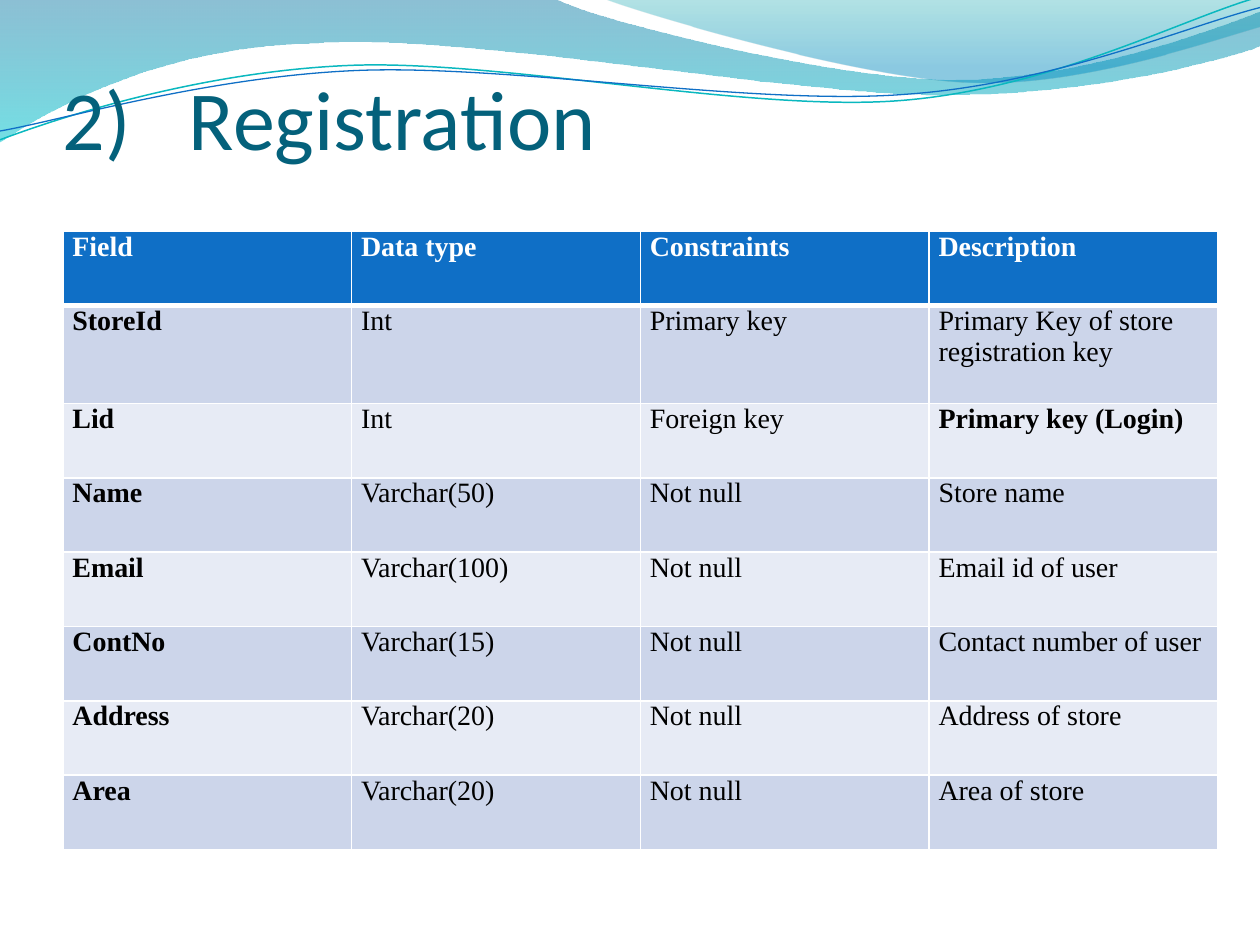
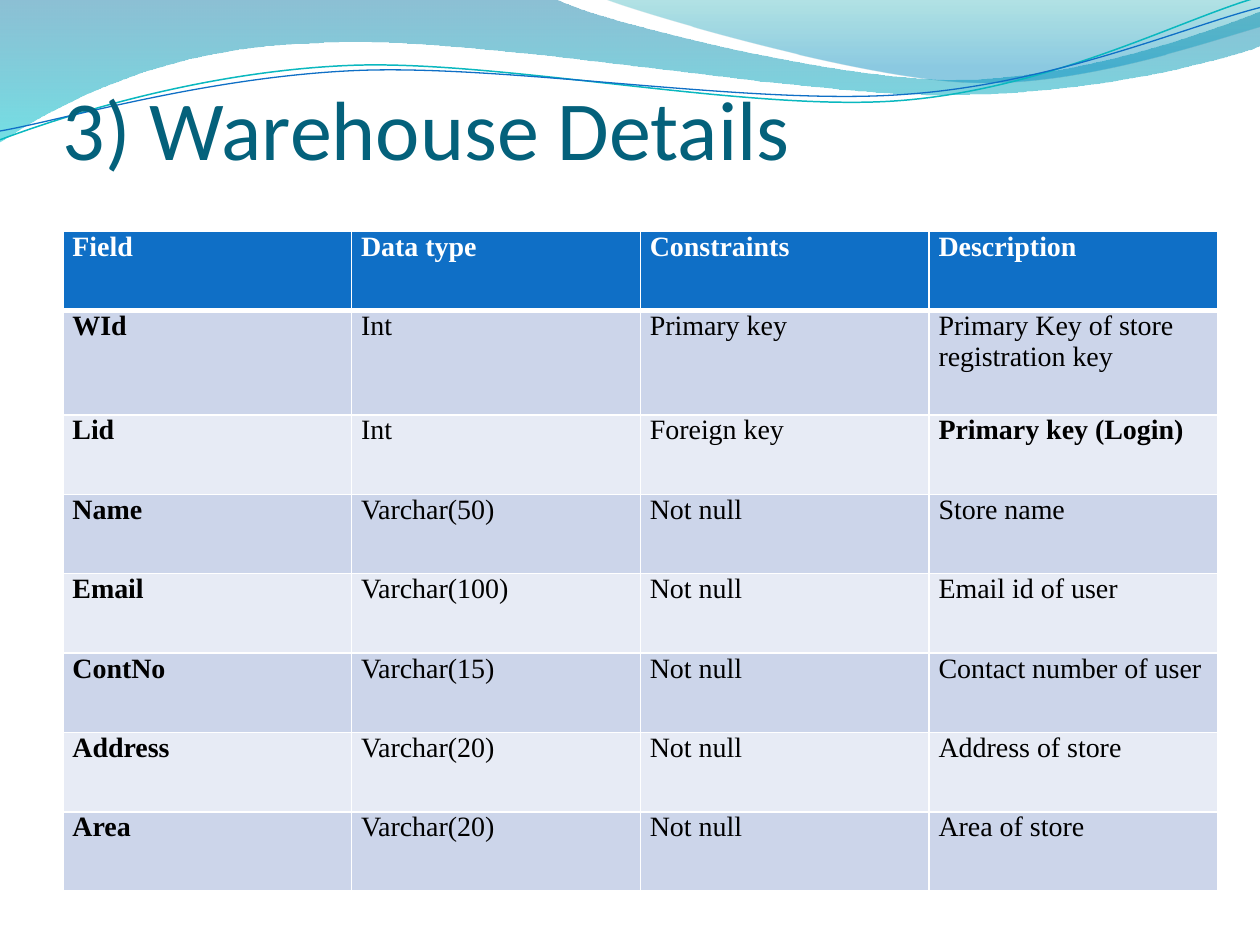
from lxml.etree import SubElement
from pptx import Presentation
from pptx.dml.color import RGBColor
from pptx.enum.text import MSO_ANCHOR
from pptx.oxml.ns import qn
from pptx.util import Emu, Inches, Pt

COLORS = {
    "title": "04617B", "header": "0F6FC6", "white": "FFFFFF", "text": "000000",
    "odd_row": "CCD5EA", "even_row": "E7EBF5",
    "teal_line": "0AB8BF", "blue_line": "0F6FC6",
    "band_top": "0074A1", "band_bottom": "00C6CF",
    "crest_top": "00A1A9", "crest_bottom": "008BBF",
}
TITLE_FONT = {"name": "Calibri", "size": Pt(48)}
CELL_FONT = {"name": "Times New Roman", "size": Pt(16)}
TITLE_FRAME = {"word_wrap": True, "vertical_anchor": MSO_ANCHOR.BOTTOM, "margin_left": 0,
               "margin_top": Inches(0.05), "margin_right": 0, "margin_bottom": 0}
CELL_MARGINS = {"margin_left": Pt(5.4), "margin_top": 0,
                "margin_right": Pt(5.4), "margin_bottom": 0}

# Outlines in inches: a pair is a straight step, six numbers are a Bézier step.
# Gradient stops are (position, colour, opacity in percent).
WAVES = [
    {"outline": [(0, 0), (4.4, -0.01), (4.76, 0.17, 6.64, 0.63, 7.58, 0.63),
                 (8.53, 0.63, 9.58, 0.26, 10, 0.09), (10.01, 0.36),
                 (9.83, 0.44, 8.7, 0.76, 7.46, 0.75), (6.22, 0.75, 3.82, 0.28, 2.57, 0.34),
                 (1.29, 0.36, 0.46, 0.83, -0.01, 1.13), (0, 0)],
     "stops": [(0, "band_top", 45), (1, "band_bottom", 55)]},
    {"outline": [(4.79, -0.01), (5.09, 0.11, 6.82, 0.62, 7.69, 0.65),
                 (8.56, 0.69, 9.61, 0.32, 10, 0.21), (10, 0), (4.79, -0.01)],
     "stops": [(0, "crest_top", 30), (0.8, "crest_bottom", 45)]},
    {"outline": [(0, 1.11), (0.48, 0.93, 1.58, 0.57, 2.77, 0.52),
                 (3.95, 0.47, 5.93, 0.89, 7.13, 0.8), (8.33, 0.71, 9.38, 0.15, 9.98, -0.02)],
     "line": ("teal_line", 0.85)},
    {"outline": [(0, 1.04), (0.47, 0.96, 1.64, 0.61, 2.83, 0.56),
                 (4.03, 0.51, 5.97, 0.84, 7.17, 0.75), (8.36, 0.67, 9.41, 0.21, 10, 0.06)],
     "line": ("blue_line", 0.75)},
]

HEADER = ("Field", "Data type", "Constraints", "Description")
SHARED_ROWS = [
    ("Lid", "Int", "Foreign key", "Primary key (Login)"),
    ("Name", "Varchar(50)", "Not null", "Store name"),
    ("Email", "Varchar(100)", "Not null", "Email id of user"),
    ("ContNo", "Varchar(15)", "Not null", "Contact number of user"),
    ("Address", "Varchar(20)", "Not null", "Address of store"),
    ("Area", "Varchar(20)", "Not null", "Area of store"),
]
BOLD_TEXTS = {"Primary key (Login)"}
SLIDES = [
    {"title": "2) \tRegistration", "title_height": 1, "key": "StoreId",
     "row_height": 0.59, "key_row_height": 0.78},
    {"title": "3) Warehouse Details", "title_height": 1.08, "key": "WId",
     "row_height": 0.63, "key_row_height": 0.83},
]


def color(name):
    return RGBColor.from_string(COLORS[name])


def add_outline(slide, outline, closed):
    """Add a freeform whose six-number steps become true Bézier curves."""
    ends = [(Inches(step[-2]), Inches(step[-1])) for step in outline]
    builder = slide.shapes.build_freeform(*ends[0], scale=1.0)
    builder.add_line_segments(ends[1:], close=closed)
    shape = builder.convert_to_shape()
    segments = list(shape._element.spPr.iter(qn("a:lnTo")))
    for segment, step in zip(segments, outline[1:]):
        if len(step) == 2:
            continue
        curve = segment.makeelement(qn("a:cubicBezTo"))
        for x, y in zip(step[::2], step[1::2]):
            SubElement(curve, qn("a:pt"), x=str(Inches(x) - shape.left),
                       y=str(Inches(y) - shape.top))
        segment.getparent().replace(segment, curve)
    shape.shadow.inherit = False
    return shape


presentation = Presentation()
presentation.slide_width, presentation.slide_height = Inches(10), Inches(7.5)
width = presentation.slide_width
left = Emu(int(width * 0.05))

for content in SLIDES:
    slide = presentation.slides.add_slide(presentation.slide_layouts[6])

    # Wave band across the top
    for wave in WAVES:
        shape = add_outline(slide, wave["outline"], closed="stops" in wave)
        if "line" in wave:
            line_color, line_width = wave["line"]
            shape.fill.background()
            shape.line.color.rgb = color(line_color)
            shape.line.width = Pt(line_width)
            continue
        shape.line.fill.background()
        shape.fill.gradient()
        shape.fill.gradient_angle = 270
        for stop, (position, name, _) in zip(shape.fill.gradient_stops, wave["stops"]):
            stop.position = position
            stop.color.rgb = color(name)
        stop_colors = list(shape._element.spPr.iter(qn("a:srgbClr")))
        for element, (_, _, opacity) in zip(stop_colors, wave["stops"]):
            SubElement(element, qn("a:alpha"), val=str(opacity * 1000))

    # Title
    title = slide.shapes.add_textbox(left, Inches(0.33), Emu(int(width * 0.9)),
                                     Inches(content["title_height"]))
    for attribute, value in TITLE_FRAME.items():
        setattr(title.text_frame, attribute, value)
    paragraph = title.text_frame.paragraphs[0]
    paragraph.text = content["title"]
    for attribute, value in TITLE_FONT.items():
        setattr(paragraph.font, attribute, value)
    paragraph.font.color.rgb = color("title")

    # Field table
    key_row = (content["key"], "Int", "Primary key", "Primary Key of store registration key")
    rows = [HEADER, key_row] + SHARED_ROWS
    heights = [content["row_height"]] * len(rows)
    heights[1] = content["key_row_height"]
    table = slide.shapes.add_table(len(rows), len(HEADER), left, Pt(132),
                                   Pt(660), Inches(sum(heights))).table
    for row, height in zip(table.rows, heights):
        row.height = Inches(height)

    for row_index, texts in enumerate(rows):
        is_header = row_index == 0
        fill_name = "header" if is_header else "odd_row" if row_index % 2 else "even_row"
        borders = {"a:lnL": 1, "a:lnR": 1, "a:lnT": 3 if row_index == 1 else 1,
                   "a:lnB": 3 if is_header else 1}
        for column_index, text in enumerate(texts):
            cell = table.cell(row_index, column_index)
            for attribute, value in CELL_MARGINS.items():
                setattr(cell, attribute, value)
            for tag, points_wide in borders.items():
                border = SubElement(cell._tc.get_or_add_tcPr(), qn(tag), w=str(Pt(points_wide)))
                SubElement(SubElement(border, qn("a:solidFill")), qn("a:srgbClr"),
                           val=COLORS["white"])
            cell.fill.solid()
            cell.fill.fore_color.rgb = color(fill_name)
            paragraph = cell.text_frame.paragraphs[0]
            paragraph.text = text
            paragraph.space_after = Pt(10)
            for attribute, value in CELL_FONT.items():
                setattr(paragraph.font, attribute, value)
            paragraph.font.bold = is_header or column_index == 0 or text in BOLD_TEXTS
            paragraph.font.color.rgb = color("white" if is_header else "text")

presentation.save("out.pptx")
